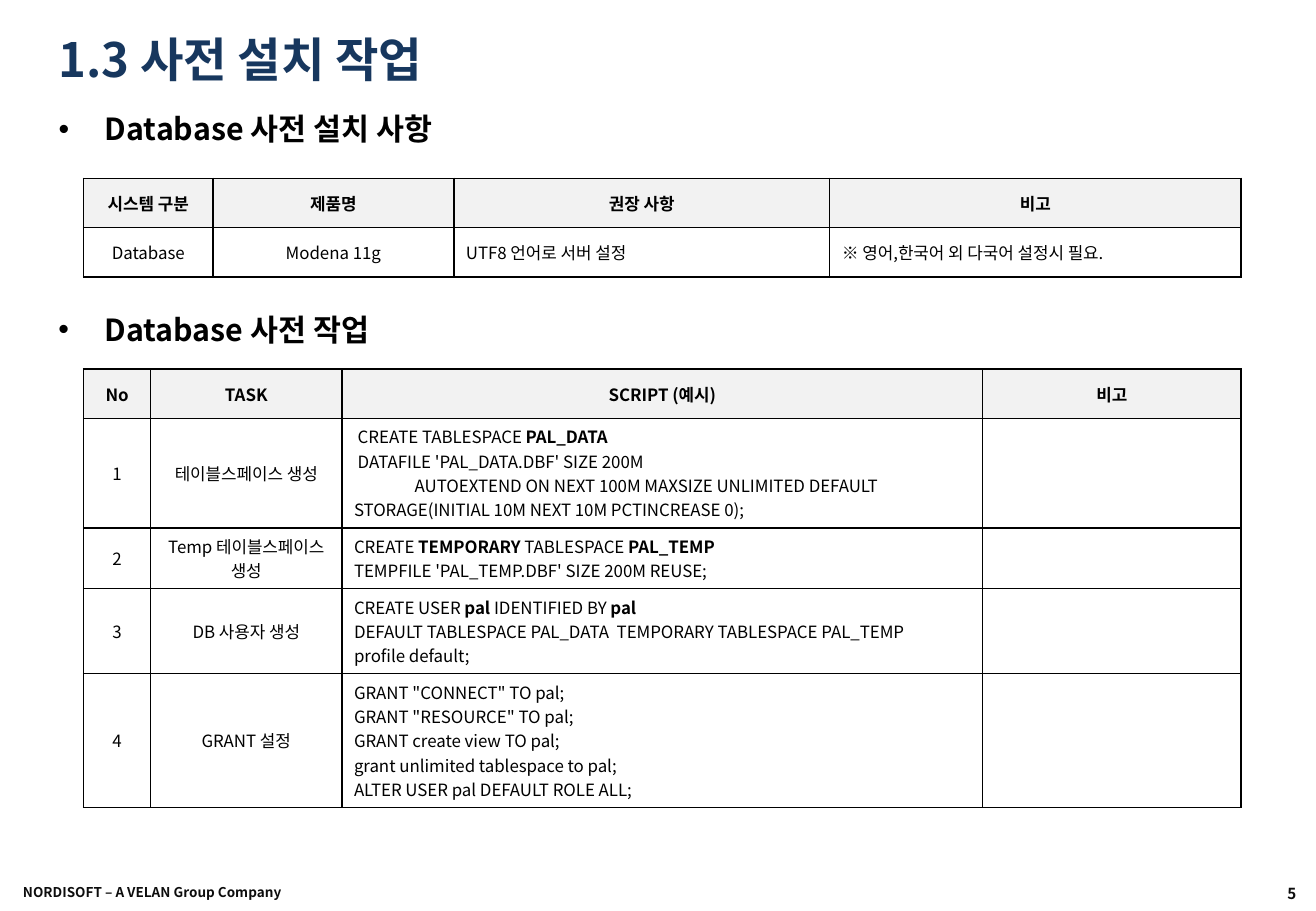
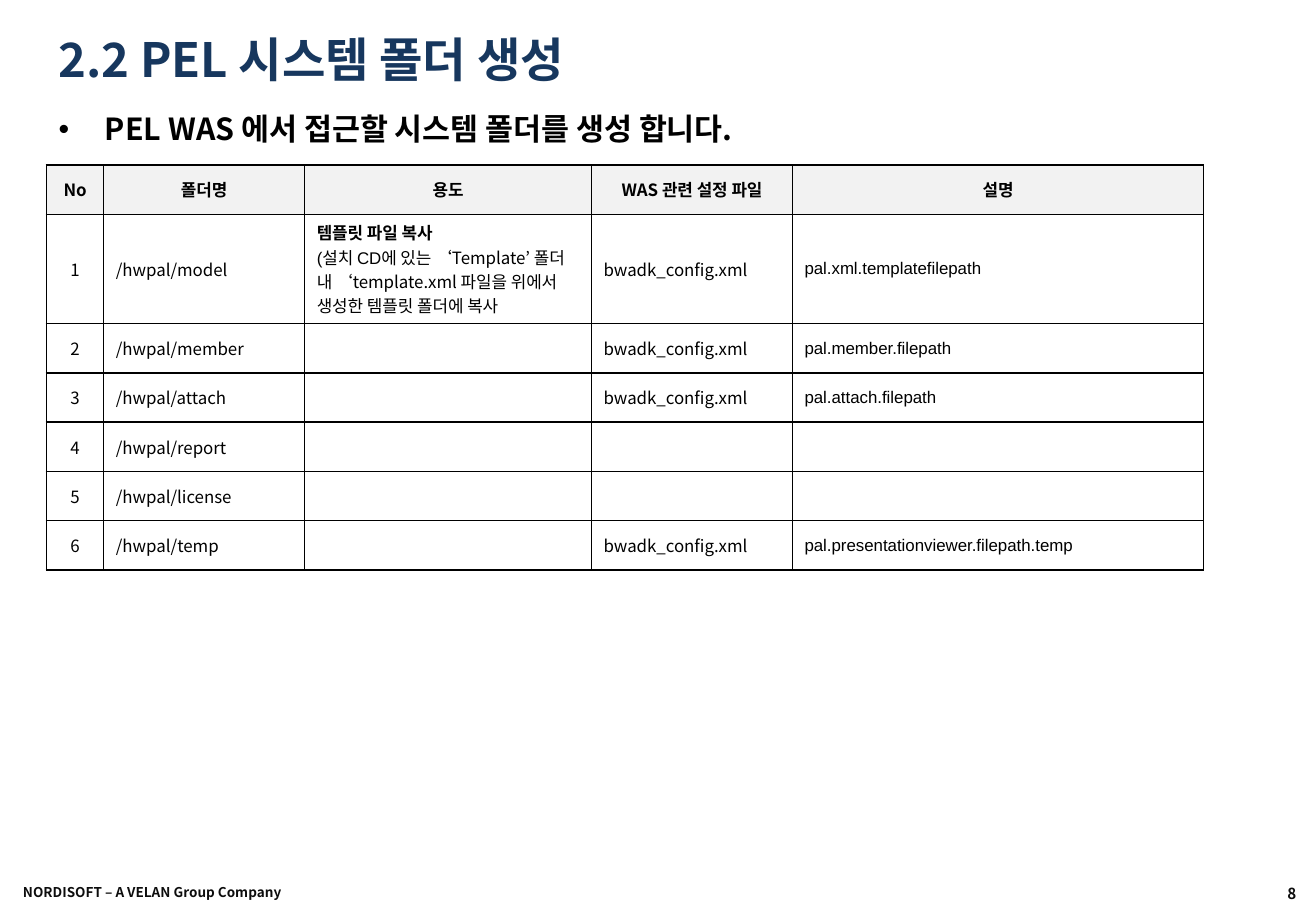
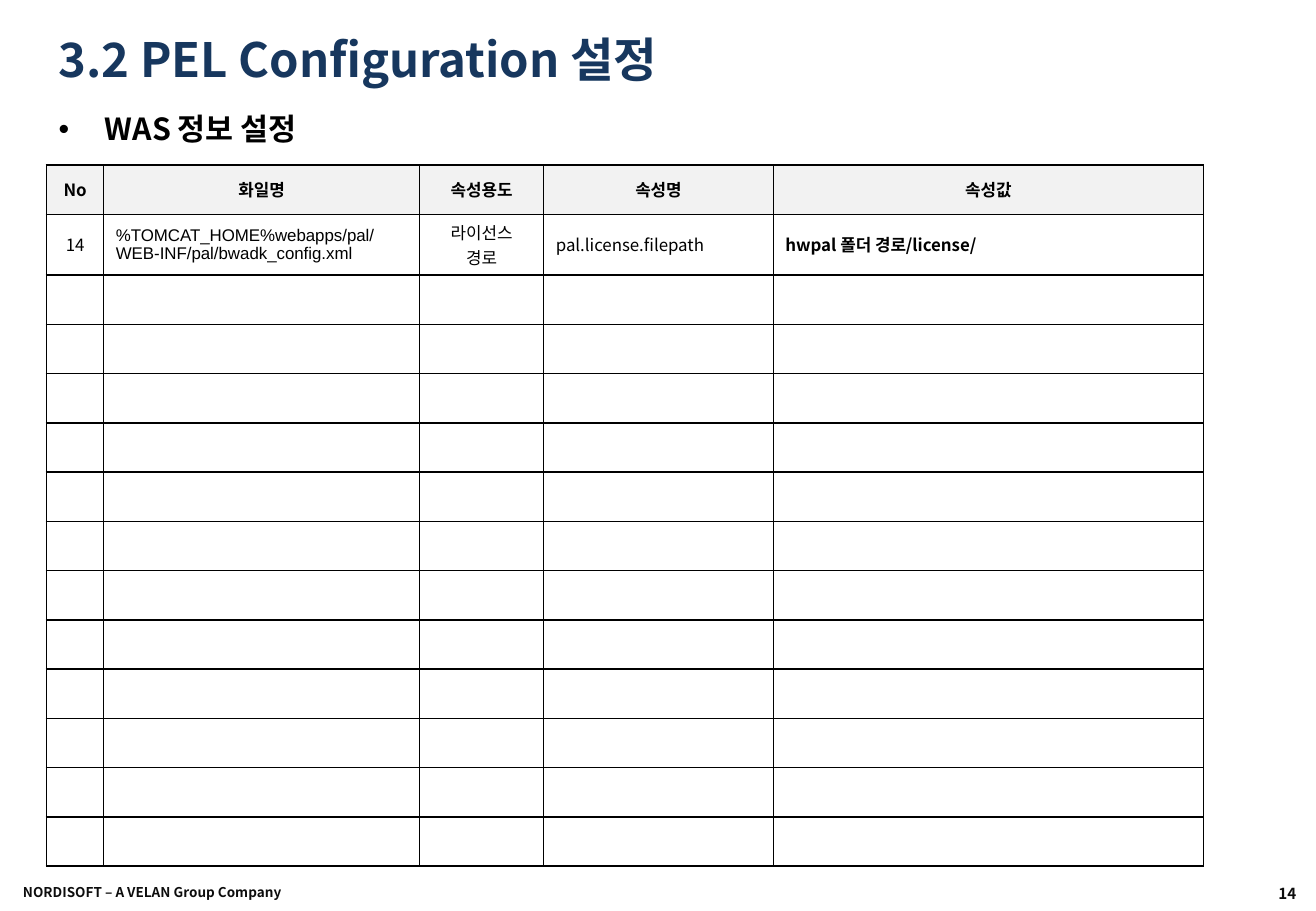
from dataclasses import dataclass
from typing import NamedTuple

from lxml import etree
from pptx import Presentation
from pptx.dml.color import RGBColor
from pptx.enum.text import MSO_ANCHOR, MSO_AUTO_SIZE, PP_ALIGN
from pptx.oxml import parse_xml
from pptx.oxml.ns import nsdecls, qn
from pptx.util import Cm, Pt

LEFT, CENTER, RIGHT = PP_ALIGN.LEFT, PP_ALIGN.CENTER, PP_ALIGN.RIGHT
TOP, MIDDLE = MSO_ANCHOR.TOP, MSO_ANCHOR.MIDDLE
FIXED = MSO_AUTO_SIZE.NONE

NAVY = RGBColor(0x17, 0x37, 0x5E)
BLACK = RGBColor(0x00, 0x00, 0x00)
INK = RGBColor(0x0D, 0x0D, 0x0D)
GRAY = RGBColor(0xF2, 0xF2, 0xF2)

SANS, ARIAL = "Noto Sans CJK KR", "Arial"
OWNER = "NORDISOFT – A VELAN Group Company"
CELL_SIZE = 10
ROW_H = Cm(1.03)
EDGE = Cm(0.97)  # left edge of the content, and the bullet indent


class Run(NamedTuple):
    text: str
    bold: bool | None = None
    font: str | None = None


class Box(NamedTuple):
    left: int
    top: int
    width: int
    height: int


Line = str | tuple[Run, ...]
Entry = str | tuple[Line, ...]

TITLE_BOX = Box(EDGE, Cm(0.53), Cm(24.77), Cm(1.4))
LEAD_BOX = Box(EDGE, Cm(2.18), Cm(25.17), Cm(1.14))
SECOND_BOX = LEAD_BOX._replace(top=Cm(6.38))
OWNER_BOX = Box(Cm(0.18), Cm(18.14), Cm(8.71), Cm(1.04))
PAGE_BOX = Box(Cm(20.98), Cm(18.16), Cm(6.43), Cm(1.04))


@dataclass
class Grid:
    left: int
    top: int
    widths: list[float]
    head: list[str]
    rows: list[list[Entry]]
    mid: tuple[int, ...] = (0,)  # centred columns
    arial: tuple[int, ...] = ()  # columns set in Arial


@dataclass
class Page:
    number: int
    title: str
    lead: str
    grids: list[Grid]
    second: str = ""


def bold(text: str) -> Run:
    return Run(text, True)


PAGES = [
    Page(5, "1.3 사전 설치 작업", "Database 사전 설치 사항", [
        Grid(Cm(1.75), Cm(3.73), [2.7, 5.04, 7.86, 8.6],
             ["시스템 구분", "제품명", "권장 사항", "비고"],
             [["Database", "Modena 11g", "UTF8 언어로 서버 설정",
               "※ 영어,한국어 외 다국어 설정시 필요."]],
             mid=(0, 1)),
        Grid(Cm(1.75), Cm(7.72), [1.4, 4, 13.4, 5.4],
             ["No", "TASK", "SCRIPT (예시)", "비고"],
             [["1", "테이블스페이스 생성", (
                 (Run(" CREATE TABLESPACE "), bold("PAL_DATA")),
                 " DATAFILE 'PAL_DATA.DBF' SIZE 200M",
                 "\tAUTOEXTEND ON NEXT 100M MAXSIZE UNLIMITED DEFAULT "
                 "STORAGE(INITIAL 10M NEXT 10M PCTINCREASE 0);"), ""],
              ["2", "Temp 테이블스페이스 생성", (
                  (Run("CREATE "), bold("TEMPORARY"),
                   Run(" TABLESPACE "), bold("PAL_TEMP")),
                  "TEMPFILE 'PAL_TEMP.DBF' SIZE 200M REUSE;"), ""],
              ["3", "DB 사용자 생성", (
                  (Run("CREATE USER "), bold("pal"),
                   Run(" IDENTIFIED BY "), bold("pal")),
                  "DEFAULT TABLESPACE PAL_DATA  TEMPORARY TABLESPACE PAL_TEMP",
                  "profile default;"), ""],
              ["4", "GRANT 설정", (
                  'GRANT "CONNECT" TO pal;',
                  'GRANT "RESOURCE" TO pal;',
                  "GRANT create view TO pal;",
                  "grant unlimited tablespace to pal;",
                  "ALTER USER pal DEFAULT ROLE ALL;"), ""]],
             mid=(0, 1)),
    ], second="Database 사전 작업"),
    Page(8, "2.2 PEL 시스템 폴더 생성",
         "PEL WAS 에서 접근할 시스템 폴더를 생성 합니다.", [
             Grid(EDGE, Cm(3.45), [1.2, 4.2, 6, 4.2, 8.6],
                  ["No", "폴더명", "용도", "WAS 관련 설정 파일", "설명"],
                  [["1", "/hwpal/model", (
                      (bold("템플릿 파일 복사"),),
                      (Run("(설치 CD에 있는 "),
                       Run("‘Template’ ", font=SANS),
                       Run("폴더 내 "),
                       Run("‘template.xml ", font=SANS),
                       Run("파일을 위에서 생성한 템플릿 폴더에 복사"))),
                    "bwadk_config.xml", "pal.xml.templatefilepath"],
                   ["2", "/hwpal/member", "", "bwadk_config.xml",
                    "pal.member.filepath"],
                   ["3", "/hwpal/attach", "", "bwadk_config.xml",
                    "pal.attach.filepath"],
                   ["4", "/hwpal/report", "", "", ""],
                   ["5", "/hwpal/license", "", "", ""],
                   ["6", "/hwpal/temp", "", "bwadk_config.xml",
                    "pal.presentationviewer.filepath.temp"]],
                  arial=(2, 4))]),
    Page(14, "3.2 PEL Configuration 설정", "WAS 정보 설정", [
        Grid(EDGE, Cm(3.45), [1.2, 6.6, 2.6, 4.8, 9],
             ["No", "화일명", "속성용도", "속성명", "속성값"],
             [["14", "%TOMCAT_HOME%webapps/pal/WEB-INF/pal/bwadk_config.xml",
               ("라이선스", "경로"), "pal.license.filepath",
               ((bold("hwpal 폴더 경로/license/"),),)]]
             + [[""] * 5 for _ in range(12)],
             mid=(0, 2), arial=(1,))]),
]


def style(para, size: float, color: RGBColor, heavy: bool,
          align=LEFT, face: str = SANS) -> None:
    para.alignment = align
    font = para.font
    font.name, font.size, font.bold = face, Pt(size), heavy
    font.color.rgb = color
    asian = etree.SubElement(font._element, qn("a:ea"))
    asian.set("typeface", SANS)


def add_runs(para, line: Line) -> None:
    parts = (Run(line),) if isinstance(line, str) else line
    for part in parts:
        if part.text:
            run = para.add_run()
            run.text = part.text
            if part.bold is not None:
                run.font.bold = part.bold
            if part.font:
                run.font.name = part.font


def place(shape, box: Box) -> None:
    shape.left, shape.top, shape.width, shape.height = box


def set_frame(shape, anchor):
    frame = shape.text_frame
    frame.word_wrap = True
    frame.auto_size = FIXED
    frame.vertical_anchor = anchor
    return frame


def set_bullet(shape, text: str) -> None:
    para = set_frame(shape, TOP).paragraphs[0]
    para.space_before = Pt(0)
    props = para._p.get_or_add_pPr()
    props.set("marL", str(EDGE))
    props.set("indent", str(-EDGE))
    etree.SubElement(props, qn("a:buFont")).set("typeface", ARIAL)
    etree.SubElement(props, qn("a:buChar")).set("char", "•")
    style(para, 18, BLACK, True)
    add_runs(para, text)


def add_foot(slide, box: Box, text: str, size: float, align) -> None:
    frame = set_frame(slide.shapes.add_textbox(*box), MIDDLE)
    frame.margin_left = frame.margin_right = Cm(0.3)
    frame.margin_top = frame.margin_bottom = Cm(0.15)
    para = frame.paragraphs[0]
    style(para, size, INK, True, align)
    add_runs(para, text)


def set_borders(cell) -> None:
    props = cell._tc.get_or_add_tcPr()
    for side in ("lnL", "lnR", "lnT", "lnB"):
        props.append(parse_xml(
            f'<a:{side} {nsdecls("a")} w="{Pt(1)}"><a:solidFill>'
            f'<a:srgbClr val="{BLACK}"/></a:solidFill></a:{side}>'))


def fill_cell(cell, entry: Entry, head: bool, align, face: str) -> None:
    cell.vertical_anchor = MIDDLE
    set_borders(cell)
    if head:
        cell.fill.solid()
        cell.fill.fore_color.rgb = GRAY
    else:
        cell.fill.background()
    frame = cell.text_frame
    lines = (entry,) if isinstance(entry, str) else entry
    for i, line in enumerate(lines):
        para = frame.add_paragraph() if i else frame.paragraphs[0]
        style(para, CELL_SIZE, BLACK, head, align, face)
        add_runs(para, line)
        if not line:  # an empty cell needs its own text size
            para._p.get_or_add_endParaRPr().set("sz", str(CELL_SIZE * 100))


def add_grid(slide, grid: Grid) -> None:
    rows = [grid.head, *grid.rows]
    table = slide.shapes.add_table(
        len(rows), len(grid.widths), grid.left, grid.top,
        Cm(sum(grid.widths)), ROW_H * len(rows)).table
    table.first_row = table.horz_banding = False
    for col, width in zip(table.columns, grid.widths):
        col.width = Cm(width)
    for r, row in enumerate(rows):
        table.rows[r].height = ROW_H
        for c, entry in enumerate(row):
            head = r == 0
            align = CENTER if head or c in grid.mid else LEFT
            face = ARIAL if c in grid.arial and not head else SANS
            fill_cell(table.cell(r, c), entry, head, align, face)


def add_page(deck, layout, page: Page) -> None:
    slide = deck.slides.add_slide(layout)
    add_foot(slide, PAGE_BOX, str(page.number), 9, RIGHT)
    add_foot(slide, OWNER_BOX, OWNER, 8, LEFT)
    title = slide.shapes.title
    place(title, TITLE_BOX)
    para = set_frame(title, MIDDLE).paragraphs[0]
    style(para, 28, NAVY, True)
    add_runs(para, page.title)
    body = slide.placeholders[1]
    place(body, LEAD_BOX)
    set_bullet(body, page.lead)
    if page.second:
        set_bullet(slide.shapes.add_textbox(*SECOND_BOX), page.second)
    for grid in page.grids:
        add_grid(slide, grid)


def main() -> None:
    deck = Presentation()
    deck.slide_width, deck.slide_height = Cm(27.52), Cm(19.05)
    layout = deck.slide_layouts[1]
    for page in PAGES:
        add_page(deck, layout, page)
    deck.save("out.pptx")


if __name__ == "__main__":
    main()
